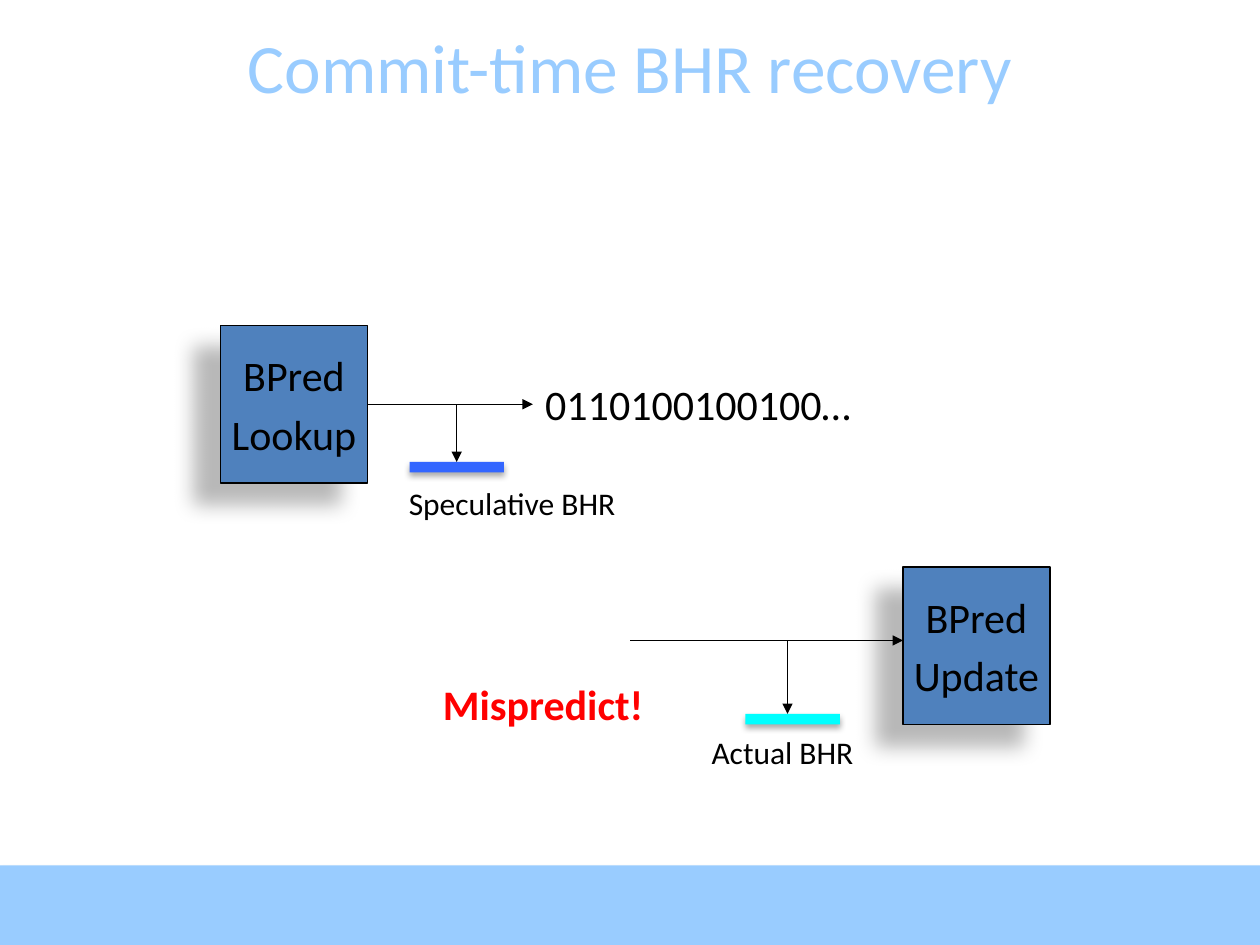
import pptx
import pptx.dml.color
import pptx.enum.shapes
import pptx.enum.text
import pptx.oxml
import pptx.oxml.ns
import pptx.util

Pt = pptx.util.Pt
RGB = pptx.dml.color.RGBColor
qn = pptx.oxml.ns.qn
SHAPE = pptx.enum.shapes.MSO_SHAPE
LINK = pptx.enum.shapes.MSO_CONNECTOR
ALIGN = pptx.enum.text.PP_ALIGN
ANCHOR = pptx.enum.text.MSO_ANCHOR

SKY = RGB(0x99, 0xCC, 0xFF)
STEEL = RGB(0x4F, 0x81, 0xBD)
BLUE = RGB(0x33, 0x66, 0xFF)
CYAN = RGB(0x00, 0xFF, 0xFF)
RED = RGB(0xFF, 0x00, 0x00)
BLACK = RGB(0x00, 0x00, 0x00)

FOOTER_SHADOW = (35, 3.1, 1.8, 90)
UNIT_SHADOW = (28, 11.8, 19.7, 141)
REGISTER_SHADOW = (32, 3.5, 2.2, 90)
UNIT_W, UNIT_H = 84, 90
REGISTER_W, REGISTER_H = 54, 6


def add_shadow(sp, alpha, blur, dist, angle):
    """Give a shape a soft black outer shadow."""
    sp.shadow.inherit = False
    effects = sp._element.spPr.find(qn("a:effectLst"))
    effects.append(pptx.oxml.parse_xml(
        f'<a:outerShdw {pptx.oxml.ns.nsdecls("a")} blurRad="{Pt(blur)}" dist="{Pt(dist)}" '
        f'dir="{angle * 60000}" rotWithShape="0"><a:srgbClr val="000000">'
        f'<a:alpha val="{alpha * 1000}"/></a:srgbClr></a:outerShdw>'))


def add_rect(s, x, y, w, h, color, shadow):
    """Add a filled rectangle without an outline."""
    sp = s.shapes.add_shape(SHAPE.RECTANGLE, Pt(x), Pt(y), Pt(w), Pt(h))
    sp.fill.solid()
    sp.fill.fore_color.rgb = color
    sp.line.fill.background()
    add_shadow(sp, *shadow)
    return sp


def write(tf, lines, size, color=BLACK, bold=False, align=ALIGN.LEFT):
    """Write one paragraph per line into a text frame."""
    for i, line in enumerate(lines):
        p = tf.paragraphs[0] if i == 0 else tf.add_paragraph()
        p.alignment = align
        if i:
            p.space_before = Pt(size * 0.2)
        r = p.add_run()
        r.text = line
        r.font.name = "Calibri"
        r.font.size = Pt(size)
        r.font.bold = bold
        r.font.color.rgb = color


def add_label(s, x, y, w, h, text, size, color=BLACK, bold=False):
    """Add a one-line label."""
    tf = s.shapes.add_textbox(Pt(x), Pt(y), Pt(w), Pt(h)).text_frame
    tf.word_wrap = False
    write(tf, [text], size, color, bold)


def add_arrow(s, x1, y1, x2, y2, bent=False):
    """Add a thin arrow, straight or with one right-angle bend."""
    kind = LINK.ELBOW if bent else LINK.STRAIGHT
    c = s.shapes.add_connector(kind, Pt(x1), Pt(y1), Pt(x2), Pt(y2))
    c.line.color.rgb = BLACK
    c.line.width = Pt(0.75)
    spPr = c._element.spPr
    if bent:
        spPr.find(qn("a:prstGeom")).set("prst", "bentConnector2")
    ln = c.line._get_or_add_ln()
    ln.append(pptx.oxml.parse_xml(f'<a:tailEnd {pptx.oxml.ns.nsdecls("a")} type="triangle"/>'))
    spPr.append(pptx.oxml.parse_xml(f'<a:effectLst {pptx.oxml.ns.nsdecls("a")}/>'))


def add_unit(s, x, y, lines):
    """Add a predictor unit with its name."""
    sp = add_rect(s, x, y, UNIT_W, UNIT_H, STEEL, UNIT_SHADOW)
    sp.line.color.rgb = BLACK
    sp.line.width = Pt(0.75)
    tf = sp.text_frame
    tf.word_wrap = False
    tf.vertical_anchor = ANCHOR.MIDDLE
    write(tf, lines, 24, align=ALIGN.CENTER)


def add_register(s, x, y, color):
    """Add a history register bar."""
    add_rect(s, x, y, REGISTER_W, REGISTER_H, color, REGISTER_SHADOW)


def add_title(s, x, y, w, h, text):
    """Add the slide title."""
    tf = s.shapes.add_textbox(Pt(x), Pt(y), Pt(w), Pt(h)).text_frame
    tf.word_wrap = True
    tf.vertical_anchor = ANCHOR.MIDDLE
    write(tf, [text], 39.6, SKY, align=ALIGN.CENTER)


def add_lookup(s, x, y):
    """Add the lookup stage with its speculative history."""
    mid, right = y + UNIT_H / 2, x + UNIT_W
    add_unit(s, x, y, ["BPred", "Lookup"])
    add_register(s, x + 108, y + 78, BLUE)
    add_arrow(s, right, mid, x + 135, y + 78, bent=True)
    add_arrow(s, right, mid, x + 178.5, mid)
    add_label(s, x + 178.5, mid - 18, 196.5, 36, "0110100100100…", 24)
    add_label(s, x + 100.5, y + 87, 135, 29, "Speculative BHR", 18)


def add_update(s, x, y):
    """Add the update stage with its actual history, fed from the left."""
    mid = y + 42
    add_unit(s, x, y, ["BPred", "Update"])
    add_arrow(s, x - 156, mid, x, mid)
    add_arrow(s, x - 66, mid, x - 66, y + 84)
    add_register(s, x - 90, y + 84, CYAN)
    add_label(s, x - 116.5, y + 91.5, 101, 29, "Actual BHR", 18)
    add_label(s, x - 270, y + 60, 140, 36, "Mispredict!", 24, RED, True)


def main():
    """Build and save the slide."""
    prs = pptx.Presentation()
    prs.slide_width, prs.slide_height = Pt(720), Pt(540)
    s = prs.slides.add_slide(prs.slide_layouts[6])
    add_rect(s, 0, 494.5, 720, 45.5, SKY, FOOTER_SHADOW)
    add_title(s, 0, 15, 720, 45, "Commit-time BHR recovery")
    add_lookup(s, 126, 186)
    add_update(s, 516, 324)
    prs.save("out.pptx")


if __name__ == "__main__":
    main()
